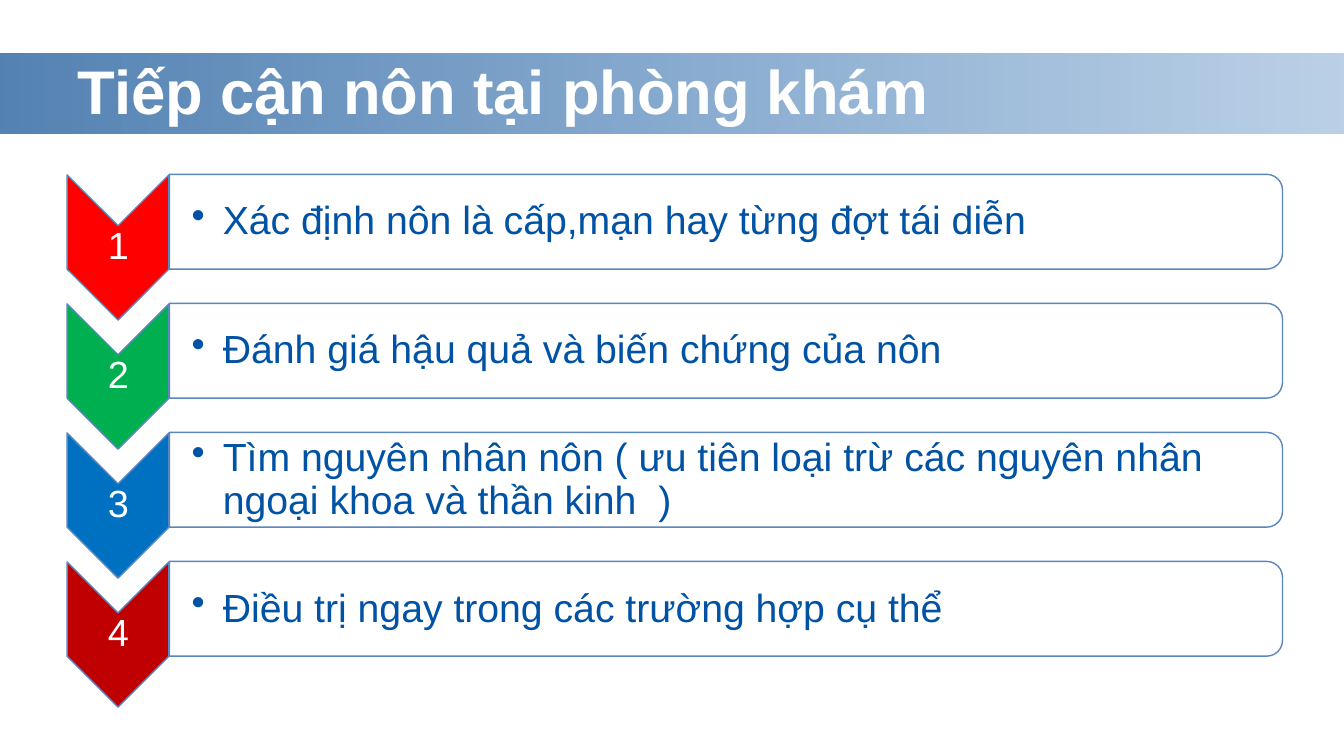
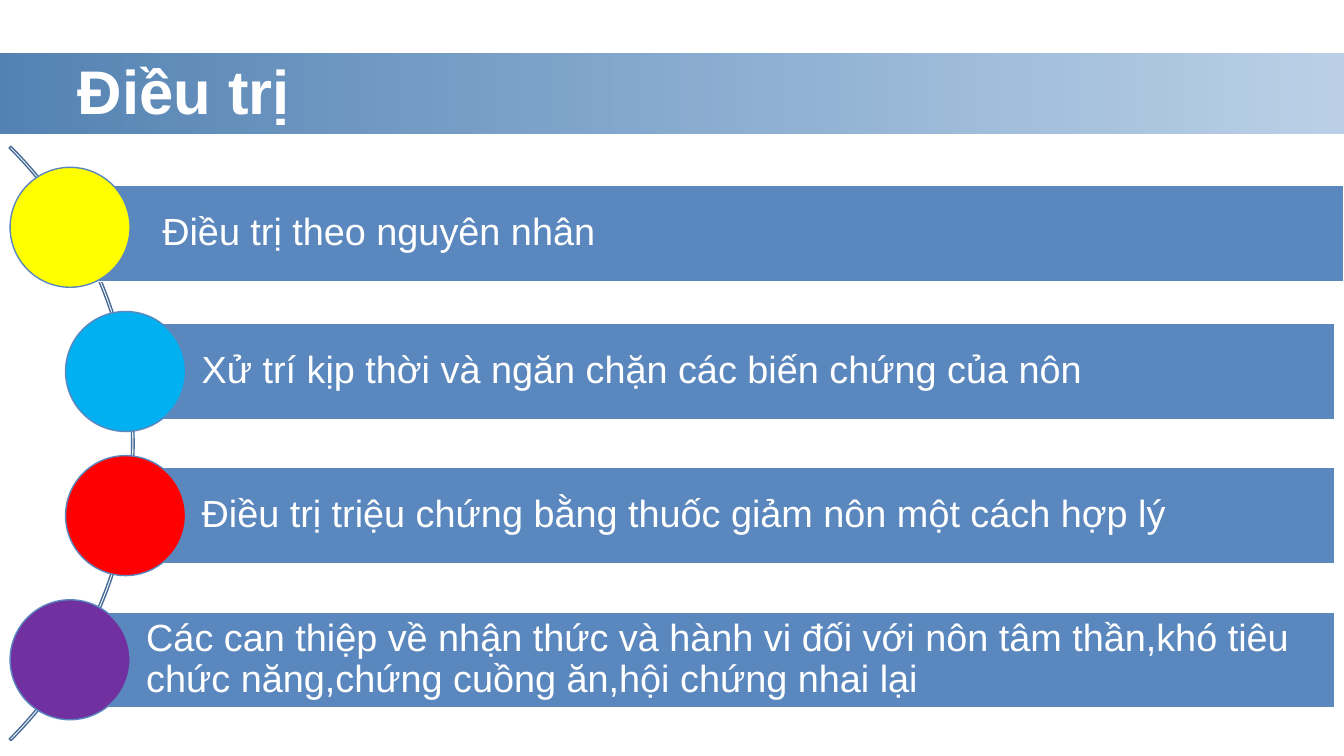
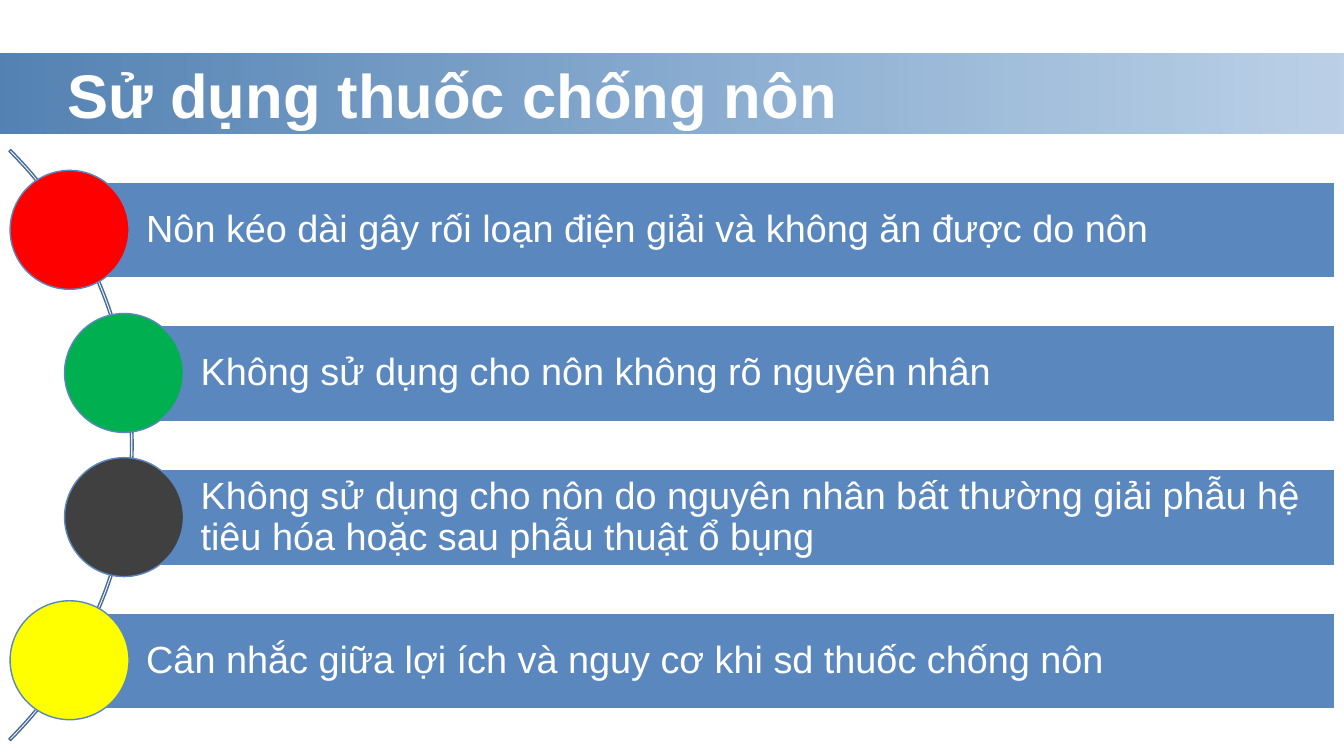
"""Build a three-slide Vietnamese deck on assessing and treating vomiting."""

from dataclasses import dataclass
from typing import NamedTuple

from lxml.etree import SubElement
from pptx import Presentation
from pptx.dml.color import RGBColor
from pptx.enum.shapes import MSO_SHAPE
from pptx.enum.text import MSO_ANCHOR, MSO_AUTO_SIZE, PP_ALIGN
from pptx.oxml import parse_xml
from pptx.oxml.ns import nsdecls, qn
from pptx.shapes.autoshape import Shape
from pptx.slide import Slide, SlideLayout
from pptx.text.text import TextFrame
from pptx.util import Emu, Pt

EMU_PER_PX = 9144


@dataclass(frozen=True)
class Theme:
    font: str = "Arial"
    white: str = "FFFFFF"
    text: str = "0052A4"
    accent: str = "5A87BE"
    arc: str = "486C98"
    band_start: str = "00478F"
    band_end: str = "0052A4"
    title_size: int = 44
    bullet_size: int = 28
    label_size: int = 27
    line_width: int = 1
    line_spacing: float = 0.9


class Box(NamedTuple):
    left: int
    top: int
    width: int
    height: int

    def before_quarter_turn(self) -> "Box":
        offset = (self.width - self.height) // 2
        return Box(self.left + offset, self.top - offset, self.height, self.width)


class Insets(NamedTuple):
    left: int
    top: int
    right: int
    bottom: int


class Item(NamedTuple):
    text: str
    color: str
    bar: Box | None = None


@dataclass(frozen=True)
class Timeline:
    title: str
    title_box: Box
    arc: Box
    circle_lefts: tuple[int, ...]
    first_top: int
    last_top: int
    diameter: int
    items: tuple[Item, ...]


THEME = Theme()
SLIDE = Box(0, 0, 1333, 750)
BAND = Box(0, 53, 1333, 80)
TITLE = Box(67, 27, 867, 125)

STEP_TOP = 173
STEP_PITCH = 128
STEPS = (
    Item("Xác định nôn là cấp,mạn hay từng đợt tái diễn", "FF0000"),
    Item("Đánh giá hậu quả và biến chứng của nôn", "00B050"),
    Item("Tìm nguyên nhân nôn ( ưu tiên loại trừ các nguyên nhân ngoại khoa và thần kinh  )", "0070C0"),
    Item("Điều trị ngay trong các trường hợp cụ thể", "C00000"),
)

BAR_RIGHT = 1324
BAR_HEIGHT = 95
ARC_THICKNESS = 2.5
TIMELINES = (
    Timeline(
        "Điều trị", TITLE, Box(-701, 23, 834, 834), (10, 65, 65, 10), 166, 595, 119,
        (
            Item("Điều trị theo nguyên nhân", "FFFF00", Box(85, 184, 1248, BAR_HEIGHT)),
            Item("Xử trí kịp thời và ngăn chặn các biến chứng của nôn", "00B0F0"),
            Item("Điều trị triệu chứng bằng thuốc giảm nôn một cách hợp lý", "FF0000"),
            Item("Các can thiệp về nhận thức và hành vi đối với nôn tâm thần,khó tiêu "
                 "chức năng,chứng cuồng ăn,hội chứng nhai lại", "7030A0"),
        ),
    ),
    Timeline(
        "Sử dụng thuốc chống nôn", Box(57, 31, 933, 125), Box(-697, 27, 829, 829),
        (10, 64, 64, 10), 169, 596, 118,
        (
            Item("Nôn kéo dài gây rối loạn điện giải và không ăn được do nôn", "FF0000"),
            Item("Không sử dụng cho nôn không rõ nguyên nhân", "00B050"),
            Item("Không sử dụng cho nôn do nguyên nhân bất thường giải phẫu hệ "
                 "tiêu hóa hoặc sau phẫu thuật ổ bụng", "404040"),
            Item("Cân nhắc giữa lợi ích và nguy cơ khi sd thuốc chống nôn", "FFFF00"),
        ),
    ),
)


def px(length: int) -> Emu:
    return Emu(length * EMU_PER_PX)


def rgb(color: str) -> RGBColor:
    return RGBColor.from_string(color)


def place(shape: Shape, box: Box) -> None:
    shape.left, shape.top, shape.width, shape.height = map(px, box)


def add_preset(slide: Slide, preset: MSO_SHAPE, box: Box, fill: str | None, line: str | None) -> Shape:
    shape = slide.shapes.add_shape(preset, *map(px, box))
    shape.shadow.inherit = False
    if fill:
        shape.fill.solid()
        shape.fill.fore_color.rgb = rgb(fill)
    else:
        shape.fill.background()
    if line:
        shape.line.color.rgb = rgb(line)
        shape.line.width = Pt(THEME.line_width)
    else:
        shape.line.fill.background()
    return shape


def set_fill_opacity(shape: Shape, *percents: int) -> None:
    for color, percent in zip(shape.element.spPr.iter(qn("a:srgbClr")), percents):
        SubElement(color, qn("a:alpha"), val=str(percent * 1000))


def write(frame: TextFrame, text: str, size: int, color: str, insets: Insets | None = None,
          align: PP_ALIGN = PP_ALIGN.LEFT, spacing: float = THEME.line_spacing,
          bold: bool = False) -> None:
    frame.text = text
    frame.word_wrap = True
    frame.auto_size = MSO_AUTO_SIZE.NONE
    frame.vertical_anchor = MSO_ANCHOR.MIDDLE
    if insets:
        (frame.margin_left, frame.margin_top,
         frame.margin_right, frame.margin_bottom) = map(px, insets)
    paragraph = frame.paragraphs[0]
    paragraph.alignment = align
    paragraph.line_spacing = spacing
    font = paragraph.font
    font.name = THEME.font
    font.size = Pt(size)
    font.bold = bold
    font.color.rgb = rgb(color)


def add_bullet(frame: TextFrame, indent: int) -> None:
    properties = frame.paragraphs[0]._p.get_or_add_pPr()
    properties.set("marL", str(px(indent)))
    properties.set("indent", str(px(-indent)))
    bullet = parse_xml(f'<a:buChar {nsdecls("a")} char="•"/>')
    properties.insert_element_before(bullet, "a:tabLst", "a:defRPr", "a:extLst")


def add_titled_slide(presentation: Presentation, layout: SlideLayout, title: str, box: Box) -> Slide:
    slide = presentation.slides.add_slide(layout)
    place(slide.shapes.title, box)
    write(slide.shapes.title.text_frame, title, THEME.title_size, THEME.white, spacing=1.0, bold=True)
    return slide


def move_band_to_layout(slide: Slide, layout: SlideLayout) -> None:
    for unused in list(layout.placeholders)[1:]:
        layout.shapes.element.remove(unused.element)
    band = add_preset(slide, MSO_SHAPE.RECTANGLE, BAND, None, None)
    band.fill.gradient()
    band.fill.gradient_angle = 0
    for stop, color in zip(band.fill.gradient_stops, (THEME.band_start, THEME.band_end)):
        stop.color.rgb = rgb(color)
    set_fill_opacity(band, 68, 27)
    layout.shapes.element.insert(2, band.element)


def draw_step(slide: Slide, number: int, step: Item) -> None:
    top = STEP_TOP + STEP_PITCH * (number - 1)
    chevron = Box(67, top, 101, 144).before_quarter_turn()
    panel = Box(168, top, 1104, 94).before_quarter_turn()
    add_preset(slide, MSO_SHAPE.CHEVRON, chevron, step.color, THEME.accent).rotation = 90
    outline = add_preset(slide, MSO_SHAPE.ROUND_2_SAME_RECTANGLE, panel, THEME.white, THEME.accent)
    outline.rotation = 90
    set_fill_opacity(outline, 90)
    label = slide.shapes.add_textbox(*map(px, Box(67, top + 51, 101, 43))).text_frame
    write(label, str(number), THEME.label_size, THEME.white, Insets(2, 2, 2, 2), PP_ALIGN.CENTER)
    detail = slide.shapes.add_textbox(*map(px, Box(168, top + 5, 1099, 85))).text_frame
    write(detail, step.text, THEME.bullet_size, THEME.text, Insets(22, 2, 2, 2))
    add_bullet(detail, 31)


def draw_timeline(slide: Slide, timeline: Timeline) -> None:
    arc = add_preset(slide, MSO_SHAPE.BLOCK_ARC, timeline.arc, None, THEME.arc)
    for index, value in enumerate((189, 27, ARC_THICKNESS / timeline.arc.width)):
        arc.adjustments[index] = value
    diameter = timeline.diameter
    pitch = (timeline.last_top - timeline.first_top) / (len(timeline.items) - 1)
    for index, (item, left) in enumerate(zip(timeline.items, timeline.circle_lefts)):
        top = round(timeline.first_top + pitch * index)
        center = left + diameter // 2
        box = item.bar or Box(center, top + 12, BAR_RIGHT - center, BAR_HEIGHT)
        bar = add_preset(slide, MSO_SHAPE.RECTANGLE, box, THEME.accent, THEME.white)
        write(bar.text_frame, item.text, THEME.label_size, THEME.white, Insets(76, 7, 7, 7))
        circle = Box(left, top, diameter, diameter)
        add_preset(slide, MSO_SHAPE.OVAL, circle, item.color, THEME.accent)


def main() -> None:
    presentation = Presentation()
    presentation.slide_width, presentation.slide_height = px(SLIDE.width), px(SLIDE.height)
    layout = presentation.slide_layouts[5]
    approach = add_titled_slide(presentation, layout, "Tiếp cận nôn tại phòng khám", TITLE)
    move_band_to_layout(approach, layout)
    for number, step in enumerate(STEPS, start=1):
        draw_step(approach, number, step)
    for timeline in TIMELINES:
        slide = add_titled_slide(presentation, layout, timeline.title, timeline.title_box)
        draw_timeline(slide, timeline)
    presentation.save("out.pptx")


if __name__ == "__main__":
    main()
